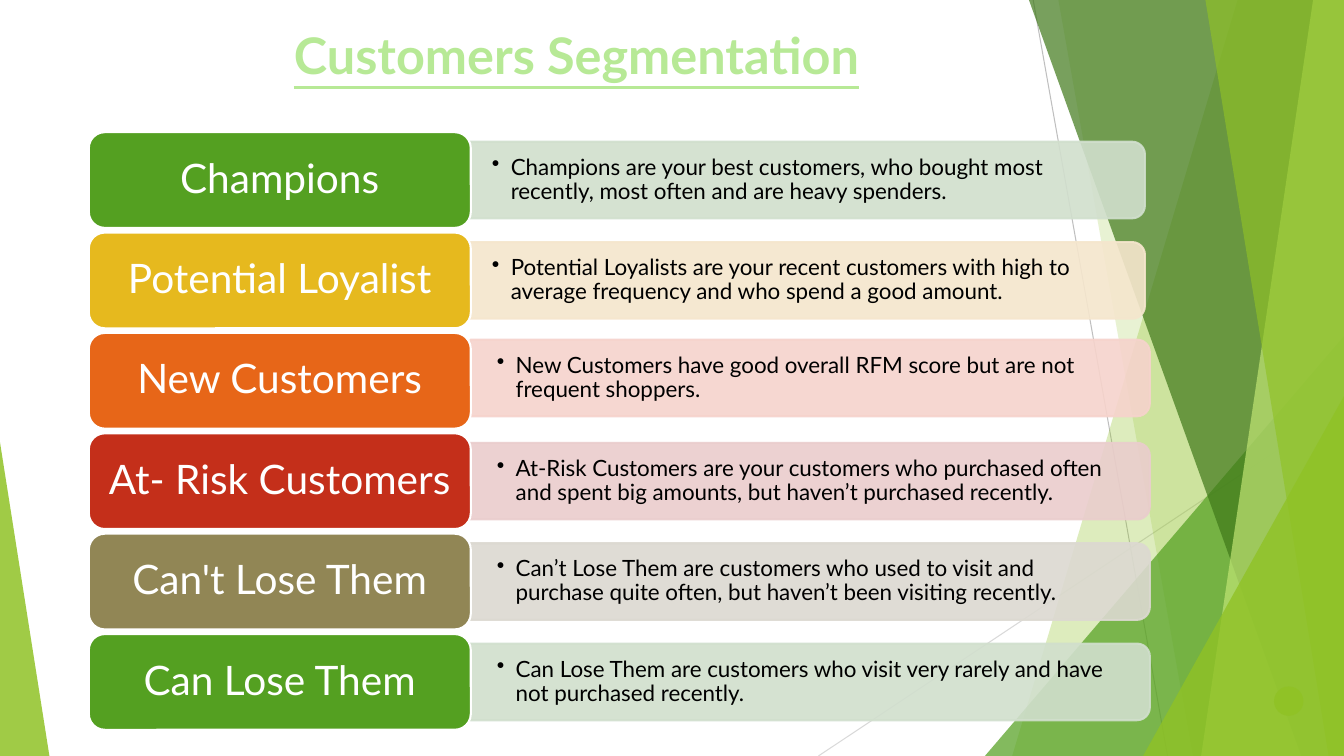
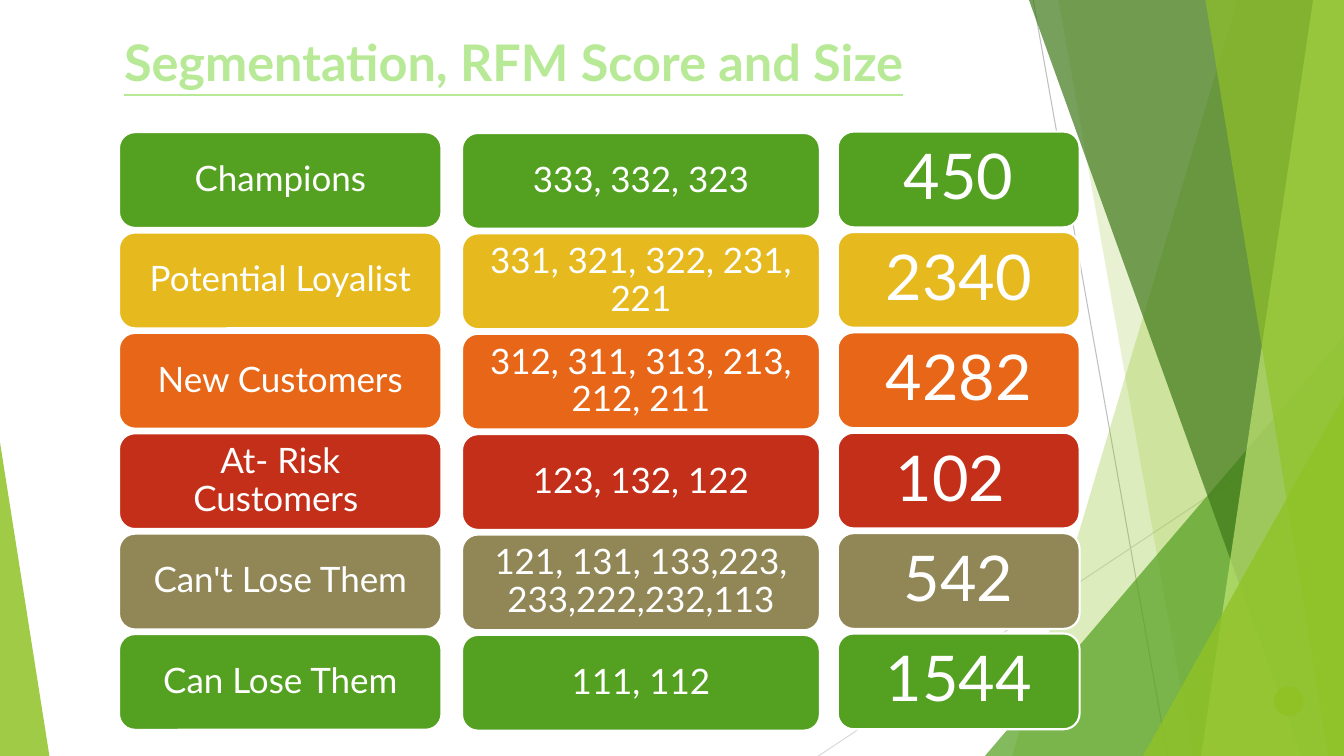
"""Build two slides on customer segments, with RFM scores and segment sizes."""
import pptx
import pptx.util
import pptx.dml.color
import pptx.enum.shapes
import pptx.enum.text
import pptx.oxml
import pptx.oxml.ns
import lxml.etree

Pt = pptx.util.Pt
MSO = pptx.enum.shapes.MSO_SHAPE
ALIGN = pptx.enum.text.PP_ALIGN
ANCHOR = pptx.enum.text.MSO_ANCHOR
qn = pptx.oxml.ns.qn

WIDTH, HEIGHT = 960, 540
LIME, GREEN, WHITE = "90C226", "54A021", "FFFFFF"
CARD_TOP, CARD_H, PITCH = 94.4, 68.4, 71.7
BAR_W, BAR_H = 485.3, 54.7

SEGMENTS = [
    ("Champions", GREEN, "D1DFCD", 332.5, 0, "333, 332, 323", "450",
     "Champions are your best customers, who bought most recently, most often and are heavy spenders."),
    ("Potential Loyalist", "E6B91E", "F5E6CD", 332.5, 0, "331, 321, 322, 231, 221", "2340",
     "Potential Loyalists are your recent customers with high to average frequency and who spend a good amount."),
    ("New Customers", "E76618", "F6D3CC", 336, -2, "312, 311, 313, 213, 212, 211", "4282",
     "New Customers have good overall RFM score but are not frequent shoppers."),
    ("At- Risk Customers ", "C42F1A", "EACDCD", 336, 0, "123, 132, 122", "102 ",
     "At-Risk Customers are your customers who purchased often and spent big amounts, but haven’t purchased recently."),
    ("Can't Lose Them", "918655", "DCD9D1", 336, 0, "121, 131, 133,223, 233,222,232,113", "542",
     "Can’t Lose Them are customers who used to visit and purchase quite often, but haven’t been visiting recently."),
    ("Can Lose Them", GREEN, "D1DFCD", 336, 0, "111, 112", "1544",
     "Can Lose Them are customers who visit very rarely and have not purchased recently."),
]


def paint(fill, colour, alpha=100):
    fill.solid()
    fill.fore_color.rgb = pptx.dml.color.RGBColor.from_string(colour)
    if alpha < 100:
        clr = fill._xPr.find(qn("a:solidFill"))[0]
        lxml.etree.SubElement(clr, qn("a:alpha")).set("val", str(alpha * 1000))


def write(tf, text, size, colour, align, anchor, ins_x, ins_y):
    tf.word_wrap = True
    tf.vertical_anchor = anchor
    tf.margin_left = tf.margin_right = Pt(ins_x)
    tf.margin_top = tf.margin_bottom = Pt(ins_y)
    p = tf.paragraphs[0]
    p.alignment = align
    p.line_spacing = 0.9
    r = p.add_run()
    r.text = text
    r.font.size = Pt(size)
    r.font.name = "Lato"
    paint(r.font.fill, colour)
    return p, r


prs = pptx.Presentation()
prs.slide_width, prs.slide_height = Pt(WIDTH), Pt(HEIGHT)
layout = prs.slide_layouts[5]
for ph in list(layout.placeholders):
    if ph.placeholder_format.idx:
        ph.element.getparent().remove(ph.element)

slides = [prs.slides.add_slide(layout) for _ in range(2)]
s = slides[0]

for x1, y1, x2, y2, colour in [(738, 0, 834, 540, "BFBFBF"), (960, 290, 584.6, 540, "D9D9D9")]:
    line = s.shapes.add_connector(pptx.enum.shapes.MSO_CONNECTOR.STRAIGHT, Pt(x1), Pt(y1), Pt(x2), Pt(y2))
    paint(line.line.fill, colour)
    line.line.width = Pt(0.75)
    lxml.etree.SubElement(line.element.spPr, qn("a:effectLst"))

BACKDROP = [
    ("strip", (884, 723), LIME, 30),
    ("strip", (756, 852), LIME, 20),
    ("triangle", (703.5, 240, 256.5, 300, 1), GREEN, 72),
    ("strip", (735, 929.5), "3F7819", 70),
    ("strip", (938, 858), "C0E474", 70),
    ("strip", (861, 949), LIME, 65),
    ("triangle", (816.5, 283, 143.5, 257, 1), LIME, 80),
    ("triangle", (0, 316, 35.3, 224, 0), LIME, 85),
    ("dot", (910, 490.3, 21, 21), LIME, 100),
]
for kind, geometry, colour, alpha in BACKDROP:
    if kind == "strip":
        top_x, bottom_x = geometry
        fb = s.shapes.build_freeform(Pt(top_x), 0)
        fb.add_line_segments([(Pt(WIDTH), 0), (Pt(WIDTH), Pt(HEIGHT)), (Pt(bottom_x), Pt(HEIGHT))])
        sp = fb.convert_to_shape()
    else:
        preset = MSO.OVAL if kind == "dot" else MSO.ISOSCELES_TRIANGLE
        sp = s.shapes.add_shape(preset, *map(Pt, geometry[:4]))
        if kind == "triangle":
            sp.adjustments[0] = geometry[4]
    sp.shadow.inherit = False
    sp.line.fill.background()
    paint(sp.fill, colour, alpha)

for sp in list(s.shapes):
    if not sp.is_placeholder:
        layout.shapes.element.append(sp.element)

TITLES = [
    ("Customers Segmentation", 72.7, 18.7, 678.3, ALIGN.CENTER),
    ("Segmentation, RFM Score and Size", 81.4, 23.8, 640, ALIGN.LEFT),
]
for s, (text, x, y, w, align) in zip(slides, TITLES):
    sp = s.shapes.title
    sp.left, sp.top, sp.width, sp.height = Pt(x), Pt(y), Pt(w), Pt(46.8)
    p, r = write(sp.text_frame, text, 36, "B7E996", align, ANCHOR.TOP, 7.2, 3.6)
    sp.text_frame.auto_size = pptx.enum.text.MSO_AUTO_SIZE.NONE
    r.font.bold = r.font.underline = True
    outline = pptx.oxml.parse_xml(
        '<a:ln xmlns:a="http://schemas.openxmlformats.org/drawingml/2006/main" w="22225">'
        f'<a:solidFill><a:srgbClr val="{GREEN}"/></a:solidFill></a:ln>')
    r.font.fill._xPr.insert(0, outline)

s = slides[0]
for i, (name, colour, tint, x, dy, scores, count, text) in enumerate(SEGMENTS):
    mid = CARD_TOP + i * PITCH + CARD_H / 2 + dy
    bar = s.shapes.add_shape(MSO.ROUND_2_SAME_RECTANGLE, Pt(x + (BAR_W - BAR_H) / 2), Pt(mid - BAR_W / 2),
                             Pt(BAR_H), Pt(BAR_W))
    bar.rotation = 90
    bar.shadow.inherit = False
    paint(bar.fill, tint, 90)
    paint(bar.line.fill, tint, 90)
    bar.line.width = Pt(1.5)
    tb = s.shapes.add_textbox(Pt(x - 0.5), Pt(mid - 24.5), Pt(483), Pt(49))
    p, r = write(tb.text_frame, text, 16, "000000", ALIGN.LEFT, ANCHOR.MIDDLE, 19.4, 10)
    p.level = 1
    pPr = p._p.get_or_add_pPr()
    pPr.set("marL", str(Pt(13.5)))
    pPr.set("indent", str(-Pt(13.5)))
    lxml.etree.SubElement(pPr, qn("a:buChar")).set("char", "•")

names = [seg[0] for seg in SEGMENTS]
COLUMNS = [
    (slides[0], 63.4, CARD_TOP, 272.9, 29, names),
    (slides[1], 85, CARD_TOP, 230.4, 25, names),
    (slides[1], 330, 95, 255.6, 25, [seg[5] for seg in SEGMENTS]),
    (slides[1], 598.4, 94, 172.8, 45, [seg[6] for seg in SEGMENTS]),
]
for s, x, top, w, size, texts in COLUMNS:
    for i, text in enumerate(texts):
        card = s.shapes.add_shape(MSO.ROUNDED_RECTANGLE, Pt(x), Pt(top + i * PITCH), Pt(w), Pt(CARD_H))
        card.shadow.inherit = False
        paint(card.fill, SEGMENTS[i][1])
        paint(card.line.fill, WHITE)
        card.line.width = Pt(1.5)
        write(card.text_frame, text, size, WHITE, ALIGN.CENTER, ANCHOR.MIDDLE, size * 0.3, size * 0.15)

prs.save("out.pptx")
